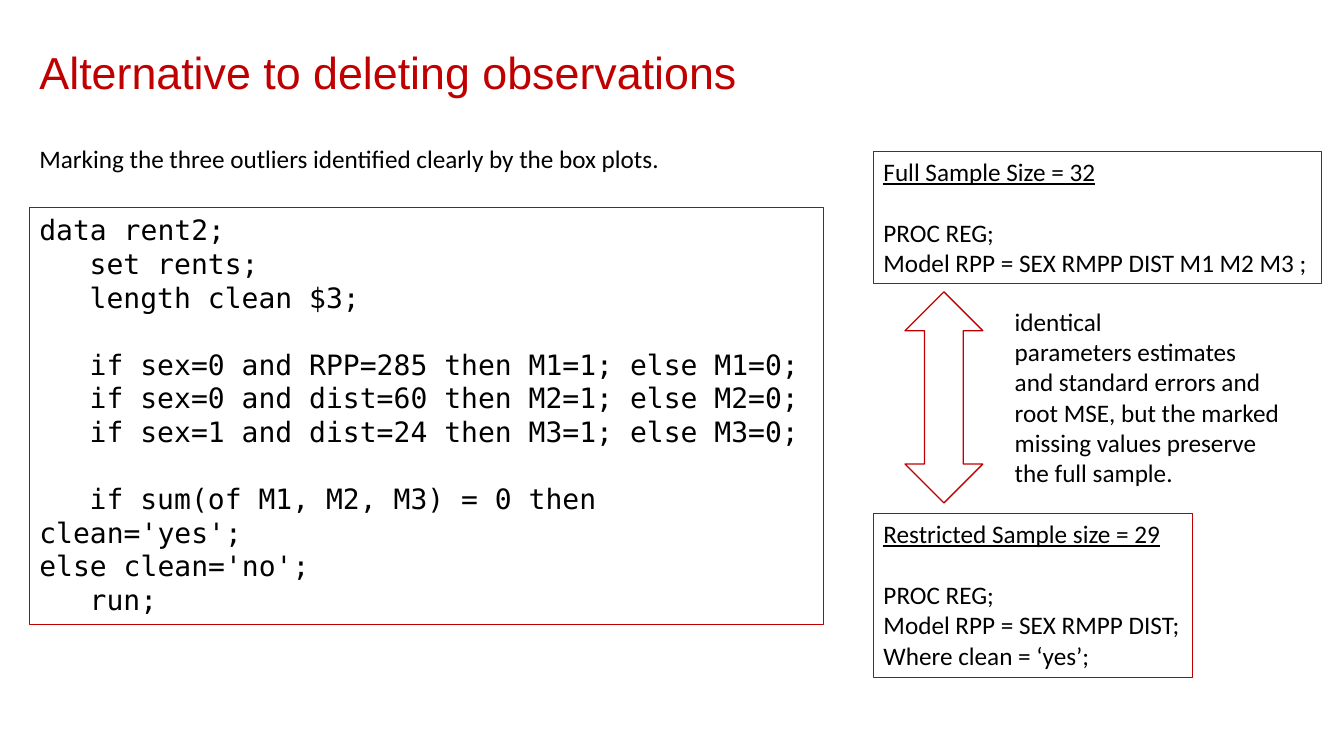
from dataclasses import dataclass
from pptx import Presentation
from pptx.dml.color import RGBColor
from pptx.enum.shapes import MSO_SHAPE
from pptx.enum.text import MSO_ANCHOR, PP_ALIGN
from pptx.util import Emu, Pt


@dataclass(frozen=True)
class Theme:
    accent: RGBColor = RGBColor(0xC0, 0x00, 0x00)
    ink: RGBColor = RGBColor(0x00, 0x00, 0x00)
    title_size: int = 32
    code_size: int = 20
    body_size: int = 18
    code_gap: int = 24
    body_gap: int = 22
    frame_width: float = 0.75
    arrow_width: float = 1


THEME = Theme()
TITLE_FONT = {"name": "Arial", "size": Pt(THEME.title_size), "color": THEME.accent}
CODE_FONT = {"name": "DejaVu Sans Mono", "size": Pt(THEME.code_size), "color": THEME.ink}
BODY_FONT = {"name": "Calibri", "size": Pt(THEME.body_size), "color": THEME.ink}
HEADING_FONT = {**BODY_FONT, "underline": True}
CODE_INDENT = 48

CODE_BLOCKS = [
    [("data rent2;", 0), ("set rents;", 1), ("length clean $3;", 1)],
    [
        ("if sex=0 and RPP=285 then M1=1; else M1=0;", 1),
        ("if sex=0 and dist=60 then M2=1; else M2=0;", 1),
        ("if sex=1 and dist=24 then M3=1; else M3=0;", 1),
    ],
    [
        ("if sum(of M1, M2, M3) = 0 then", 1),
        ("clean='yes';", 0),
        ("else clean='no';", 0),
        ("run;", 1),
    ],
]
SAMPLES = [
    ((832, 144, 427, 126), "Full Sample Size = 32",
     ["PROC REG;", "Model RPP = SEX RMPP DIST M1 M2 M3 ;"]),
    ((832, 489, 304, 156), "Restricted Sample size = 29",
     ["PROC REG;", "Model RPP = SEX RMPP DIST;", "Where clean = ‘yes’;"]),
]
NOTE = [
    "identical",
    "parameters estimates",
    "and standard errors and",
    "root MSE, but the marked",
    "missing values preserve the full sample.",
]


def px(length):
    return Emu(length * 9525)


def set_all(target, values):
    for name, value in values.items():
        setattr(target, name, value)


def write(frame, number, text, font, gap=0, indent=0):
    para = frame.paragraphs[0] if number == 0 else frame.add_paragraph()
    set_all(para, {"alignment": PP_ALIGN.LEFT, "space_before": Pt(gap)})
    if indent:
        properties = para._p.get_or_add_pPr()
        properties.set("marL", "0")
        properties.set("indent", str(px(indent)))
    span = para.add_run()
    span.text = text
    set_all(span.font, {key: value for key, value in font.items() if key != "color"})
    span.font.color.rgb = font["color"]
    return para


def add_title(page, area, text):
    title = page.shapes.title
    set_all(title, dict(zip(("left", "top", "width", "height"), map(px, area))))
    set_all(title.text_frame, {"vertical_anchor": MSO_ANCHOR.MIDDLE, "word_wrap": True})
    write(title.text_frame, 0, text, TITLE_FONT).line_spacing = 0.9


def add_outline(page, kind, area, width):
    shape = page.shapes.add_shape(kind, *map(px, area))
    shape.shadow.inherit = False
    shape.fill.background()
    shape.line.color.rgb = THEME.accent
    shape.line.width = Pt(width)
    return shape


def add_frame(page, area, wrap):
    frame = add_outline(page, MSO_SHAPE.RECTANGLE, area, THEME.frame_width).text_frame
    set_all(frame, {"vertical_anchor": MSO_ANCHOR.TOP, "word_wrap": wrap})
    return frame


def add_code(page, area, blocks):
    frame = add_frame(page, area, True)
    number = 0
    for block in blocks:
        for position, (line, level) in enumerate(block):
            gap = THEME.code_gap if number and position == 0 else 0
            write(frame, number, line, CODE_FONT, gap, level * CODE_INDENT)
            number += 1


def add_sample(page, area, heading, lines):
    frame = add_frame(page, area, False)
    write(frame, 0, heading, HEADING_FONT)
    for number, line in enumerate(lines, 1):
        write(frame, number, line, BODY_FONT, THEME.body_gap if number == 1 else 0)


def add_text(page, area, lines, wrap):
    frame = page.shapes.add_textbox(*map(px, area)).text_frame
    frame.word_wrap = wrap
    for number, line in enumerate(lines):
        write(frame, number, line, BODY_FONT)


def main():
    deck = Presentation()
    set_all(deck, {"slide_width": px(1280), "slide_height": px(720)})
    page = deck.slides.add_slide(deck.slide_layouts[5])
    add_title(page, (28, 38, 1164, 66), "Alternative to deleting observations")
    add_code(page, (28, 198, 756, 397), CODE_BLOCKS)
    add_text(page, (28, 132, 617, 38),
             ["Marking the three outliers identified clearly by the box plots."], False)
    for area, heading, lines in SAMPLES:
        add_sample(page, area, heading, lines)
    add_text(page, (957, 287, 284, 184), NOTE, True)
    add_outline(page, MSO_SHAPE.UP_DOWN_ARROW, (862, 278, 74, 201), THEME.arrow_width)
    deck.save("out.pptx")


if __name__ == "__main__":
    main()
